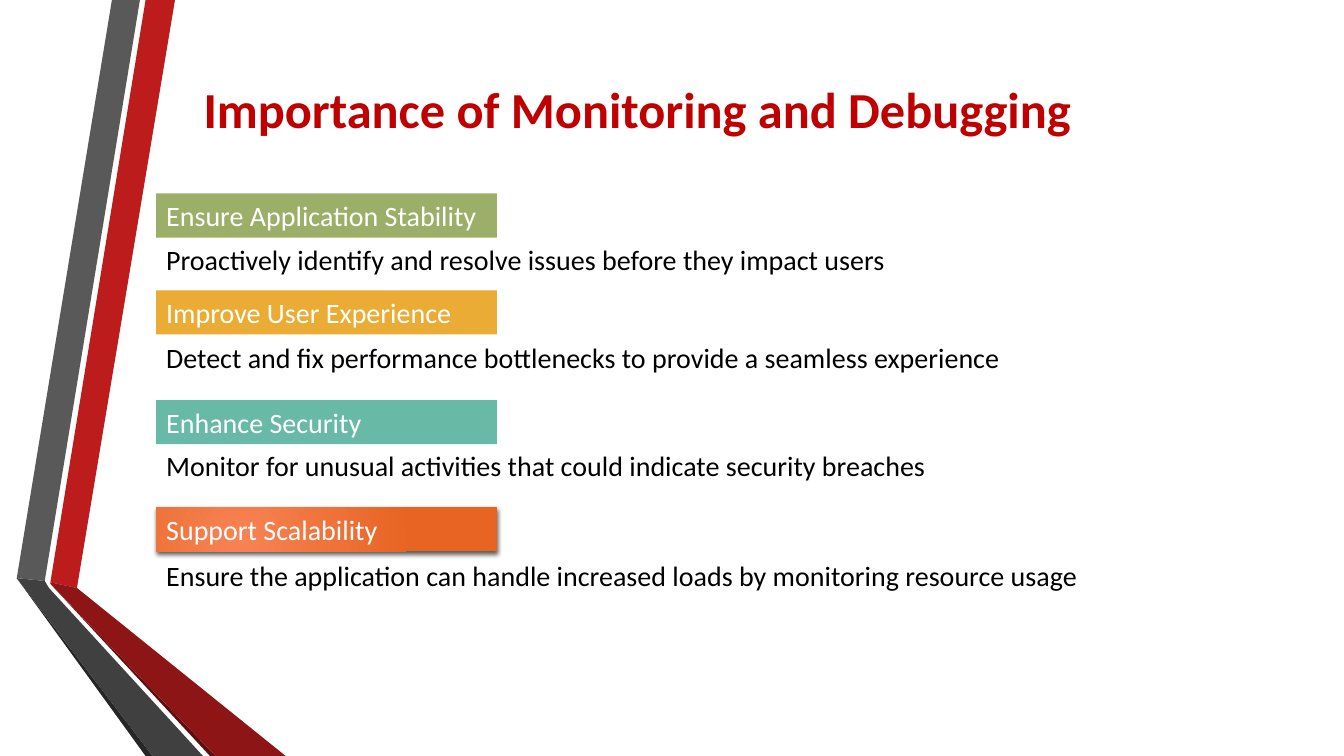
from lxml.etree import SubElement
from pptx import Presentation
from pptx.dml.color import RGBColor
from pptx.enum.shapes import MSO_SHAPE
from pptx.enum.text import MSO_ANCHOR, MSO_AUTO_SIZE, PP_ALIGN
from pptx.oxml import parse_xml
from pptx.oxml.ns import nsdecls, qn
from pptx.util import Pt

# Content
TITLE = "Importance of Monitoring and Debugging"

# heading, colour, heading top, detail, detail top, detail width
REASONS = [
    ("Ensure Application Stability", "green", 138.2,
     "Proactively identify and resolve issues before they impact users", 169.9, 536.4),
    ("Improve User Experience", "amber", 207.4,
     "Detect and fix performance bottlenecks to provide a seamless experience", 239.8, 623.5),
    ("Enhance Security", "teal", 285.8,
     "Monitor for unusual activities that could indicate security breaches", 316.8, 567.4),
    ("Support Scalability", "orange", 362.2,
     "Ensure the application can handle increased loads by monitoring resource usage",
     395.3, 680.4),
]

COLOURS = {
    "title": "C00000", "text": "000000", "heading": "FFFFFF",
    "green": "9BAF68", "amber": "EAAC35", "teal": "68B9A6",
    "orange": "E76422", "glow": "F78354", "shadow": "000000",
    "red": "BC1C1C", "dark red": "8D1515", "red edge": "5E0E0E",
    "grey": "595959", "dark grey": "404040", "grey edge": "262626",
}

# Ribbon outlines in points, back to front
RIBBONS = [
    ("red", [(36, 416.2), (55.4, 419.8), (124.6, 0), (104.4, 0)]),
    ("grey", [(100, 0), (79.9, 0), (11.5, 412.6), (31.7, 415.4)]),
    ("grey edge", [(11.5, 412.6), (104.4, 540), (108.7, 540)]),
    ("red edge", [(36, 416.9), (149.8, 540), (154.1, 540)]),
    ("dark red", [(36, 416.9), (154.1, 540), (203.8, 540), (55.4, 419.8), (36, 416.2)]),
    ("dark grey", [(145.4, 540), (34.6, 419.8), (31.7, 415.4), (11.5, 412.6), (108.7, 540)]),
]

# Layout and formats
SLIDE_WIDTH, SLIDE_HEIGHT = 960, 540
TITLE_BOX = (126, 54, 658.8, 46.1)
LEFT, HEADING_WIDTH, ROW_HEIGHT = 111.6, 243.4, 31.5
TITLE_FONT = {"name": "Calibri", "size": Pt(36), "bold": True}
BODY_FONT = {"name": "Calibri", "size": Pt(20), "bold": False}
ROW_FRAME = {"word_wrap": True, "auto_size": MSO_AUTO_SIZE.SHAPE_TO_FIT_TEXT,
             "vertical_anchor": MSO_ANCHOR.TOP}
TITLE_FRAME = {"word_wrap": True, "auto_size": MSO_AUTO_SIZE.NONE,
               "vertical_anchor": MSO_ANCHOR.MIDDLE}


def rgb(colour):
    return RGBColor.from_string(COLOURS[colour])


def apply_format(target, values):
    for attribute, value in values.items():
        setattr(target, attribute, value)


def write(box, text, colour, font, frame, align=PP_ALIGN.LEFT):
    apply_format(box.text_frame, frame)
    paragraph = box.text_frame.paragraphs[0]
    paragraph.alignment = align
    run = paragraph.add_run()
    run.text = text
    apply_format(run.font, font)
    run.font.color.rgb = rgb(colour)


def paint(shape, colour):
    shape.shadow.inherit = False
    shape.fill.solid()
    shape.fill.fore_color.rgb = rgb(colour)
    shape.line.fill.background()


def add_glow_and_shadow(heading):
    heading.fill.gradient()
    for stop, colour in zip(heading.fill.gradient_stops, ("glow", "orange")):
        stop.color.rgb = rgb(colour)
    properties = heading.element.spPr
    linear = properties.find(".//" + qn("a:lin"))
    linear.getparent().replace(linear, parse_xml(
        f'<a:path {nsdecls("a")} path="circle">'
        '<a:fillToRect l="50000" t="100000" r="100000" b="50000"/></a:path>'))
    shadow = SubElement(properties.find(qn("a:effectLst")), qn("a:outerShdw"),
                        blurRad=str(Pt(3)), dist=str(Pt(2)), dir="5400000", rotWithShape="0")
    tint = SubElement(shadow, qn("a:srgbClr"), val=COLOURS["shadow"])
    SubElement(tint, qn("a:alpha"), val="64000")


def main():
    deck = Presentation()
    deck.slide_width, deck.slide_height = Pt(SLIDE_WIDTH), Pt(SLIDE_HEIGHT)
    slide = deck.slides.add_slide(deck.slide_layouts[5])
    shapes = slide.shapes

    # Folded ribbons on the left
    for colour, (start, *corners) in RIBBONS:
        outline = shapes.build_freeform(*start, scale=Pt(1))
        outline.add_line_segments(corners, close=True)
        paint(outline.convert_to_shape(), colour)

    # Title
    title = shapes.title
    apply_format(title, dict(zip(("left", "top", "width", "height"), map(Pt, TITLE_BOX))))
    write(title, TITLE, "title", TITLE_FONT, TITLE_FRAME, PP_ALIGN.CENTER)

    # Coloured headings, each with its detail below
    for heading_text, colour, heading_top, detail_text, detail_top, detail_width in REASONS:
        heading = shapes.add_shape(MSO_SHAPE.RECTANGLE, Pt(LEFT), Pt(heading_top),
                                   Pt(HEADING_WIDTH), Pt(ROW_HEIGHT))
        paint(heading, colour)
        if colour == "orange":
            add_glow_and_shadow(heading)
        write(heading, heading_text, "heading", BODY_FONT, ROW_FRAME)

        detail = shapes.add_textbox(Pt(LEFT), Pt(detail_top), Pt(detail_width), Pt(ROW_HEIGHT))
        write(detail, detail_text, "text", BODY_FONT, ROW_FRAME)

    deck.save("out.pptx")


if __name__ == "__main__":
    main()
